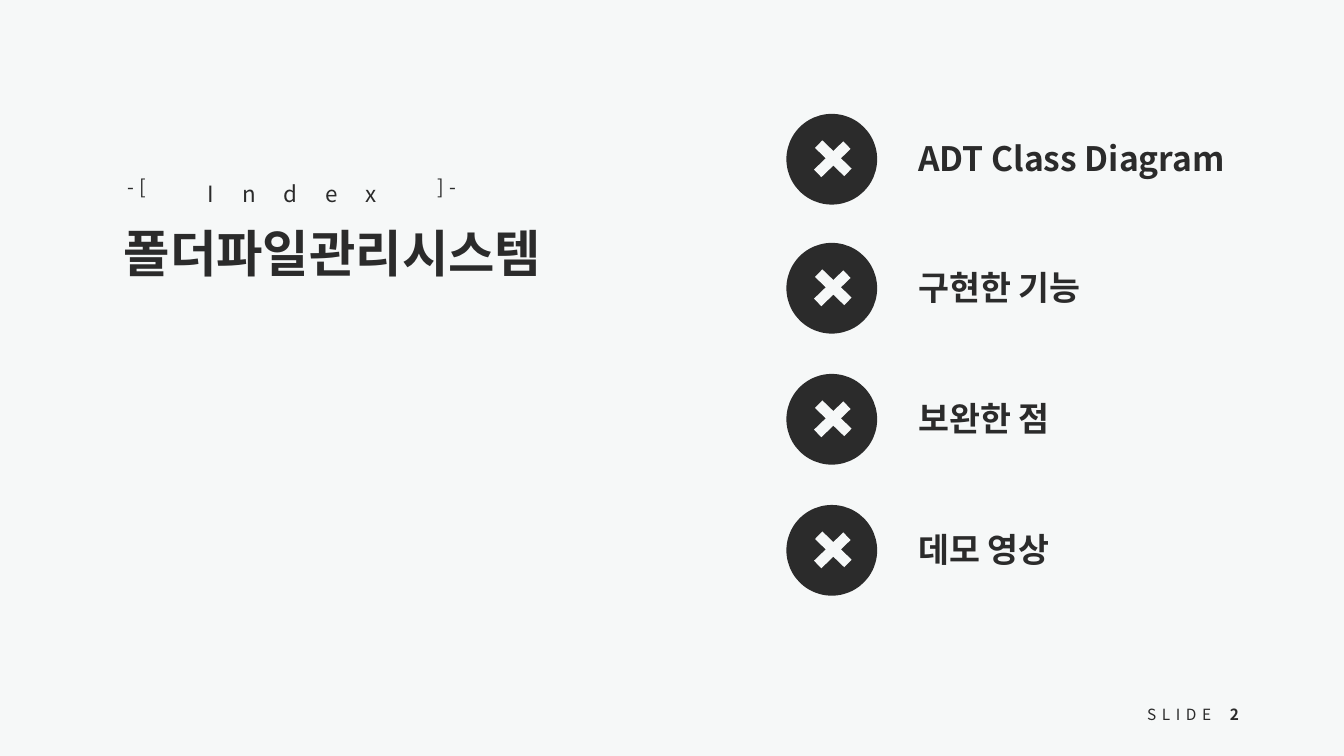
import pptx
import pptx.util
import pptx.dml.color
import pptx.enum.shapes
import pptx.enum.text
import pptx.oxml
import pptx.oxml.ns
from dataclasses import dataclass

Inches, Pt = pptx.util.Inches, pptx.util.Pt
RGB = pptx.dml.color.RGBColor.from_string
ALIGN = pptx.enum.text.PP_ALIGN
ANCHOR = pptx.enum.text.MSO_ANCHOR
SHAPE = pptx.enum.shapes.MSO_SHAPE
CONNECTOR = pptx.enum.shapes.MSO_CONNECTOR
qn = pptx.oxml.ns.qn


@dataclass(frozen=True)
class Theme:
    font: str = "Noto Sans CJK KR"
    paper: str = "F6F8F8"
    ink: str = "2B2B2B"
    title: int = 36
    item: int = 24
    label: int = 16
    bracket: int = 14
    footer: int = 11
    cross: float = 7.5


T = Theme()

# Content: text, box (left, top, width, height), size, bold, letter spacing in points
TITLE = ("폴더파일관리시스템", (1.13, 2.15, 5.52, 0.71), T.title)
LABELS = [
    ("SLIDE", (11.24, 6.95, 0.91, 0.29), T.footer, 4),
    ("Index", (1.83, 1.74, 2.14, 0.37), T.label, 20),
    ("-[", (1.14, 1.69, 0.44, 0.32), T.bracket, 4),
    ("]-", (4.21, 1.69, 0.44, 0.32), T.bracket, 4),
]
PAGE = ("2", (12.01, 6.86, 0.47, 0.45), T.footer)
# Index items: text, top of the circle, text width
ITEMS = [
    ("ADT Class Diagram", 1.13, 3.96),
    ("구현한 기능", 2.41, 2.9),
    ("보완한 점", 3.71, 2.9),
    ("데모 영상", 5.01, 2.9),
]
CIRCLE_LEFT, CIRCLE = 7.8, 0.9
ITEM_LEFT, ITEM_DROP, ITEM_HEIGHT = 9.01, 0.19, 0.49
# Strokes of the cross, measured from the circle's top left corner
CROSS = [((0.6, 0.31), (0.31, 0.59)), ((0.61, 0.58), (0.32, 0.3))]


def add_text(s, text, box, size, bold=False, spacing=0, align=ALIGN.LEFT,
             anchor=ANCHOR.TOP, wrap=True):
    tf = s.shapes.add_textbox(*map(Inches, box)).text_frame
    tf.word_wrap = wrap
    tf.vertical_anchor = anchor
    p = tf.paragraphs[0]
    p.alignment = align
    r = p.add_run()
    r.text = text
    r.font.name, r.font.size, r.font.bold = T.font, Pt(size), bold
    r.font.color.rgb = RGB(T.ink)
    # East Asian typeface and letter spacing
    rpr = r.font._element
    latin = rpr.find(qn("a:latin"))
    ea = pptx.oxml.parse_xml(
        '<a:ea xmlns:a="http://schemas.openxmlformats.org/drawingml/2006/main"'
        f' typeface="{T.font}"/>')
    latin.addnext(ea)
    if spacing:
        rpr.set("spc", str(spacing * 100))


def add_marker(s, left, top):
    circle = s.shapes.add_shape(SHAPE.OVAL, *map(Inches, (left, top, CIRCLE, CIRCLE)))
    circle.shadow.inherit = False
    circle.fill.solid()
    circle.fill.fore_color.rgb = RGB(T.ink)
    circle.line.fill.background()
    for (x1, y1), (x2, y2) in CROSS:
        ends = (left + x1, top + y1, left + x2, top + y2)
        stroke = s.shapes.add_connector(CONNECTOR.STRAIGHT, *map(Inches, ends))
        stroke.line.color.rgb = RGB(T.paper)
        stroke.line.width = Pt(T.cross)
        sp_pr = stroke._element.spPr
        sp_pr.append(sp_pr.makeelement(qn("a:effectLst"), {}))


def main():
    prs = pptx.Presentation()
    prs.slide_width, prs.slide_height = Inches(13.33), Inches(7.5)
    s = prs.slides.add_slide(prs.slide_layouts[6])
    s.background.fill.solid()
    s.background.fill.fore_color.rgb = RGB(T.paper)

    # Footer, index label and title
    add_text(s, *PAGE, bold=True, align=ALIGN.CENTER, anchor=ANCHOR.MIDDLE)
    for text, box, size, spacing in LABELS:
        add_text(s, text, box, size, spacing=spacing, align=ALIGN.CENTER, wrap=False)
    add_text(s, *TITLE, bold=True)

    # Index items
    for text, top, width in ITEMS:
        add_marker(s, CIRCLE_LEFT, top)
        box = (ITEM_LEFT, top + ITEM_DROP, width, ITEM_HEIGHT)
        add_text(s, text, box, T.item, bold=True)

    prs.save("out.pptx")


if __name__ == "__main__":
    main()
